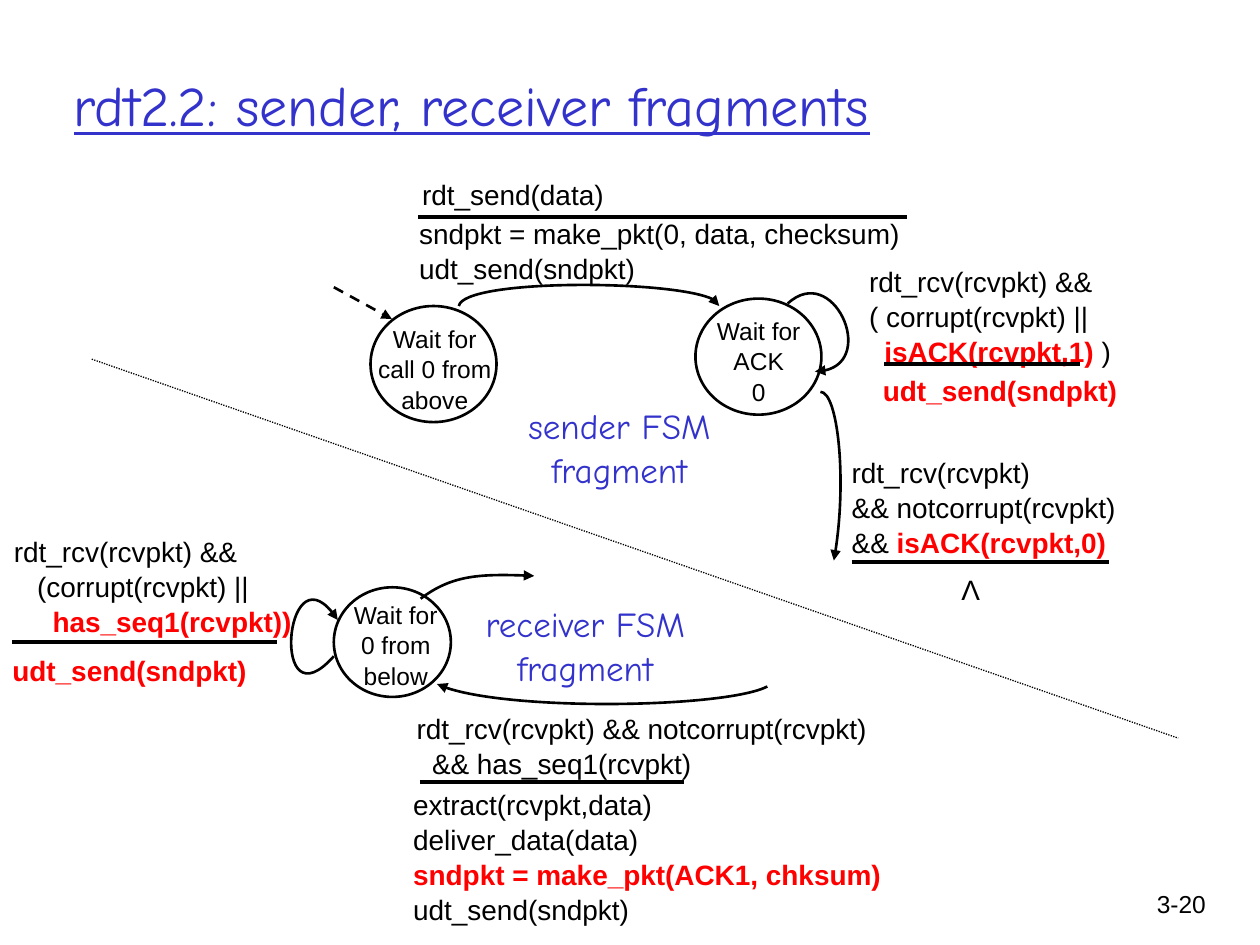
"""Build the slide with the rdt2.2 sender and receiver state machine fragments."""
from lxml.etree import SubElement
from pptx import Presentation
from pptx.dml.color import RGBColor
from pptx.enum.dml import MSO_LINE
from pptx.enum.shapes import MSO_CONNECTOR, MSO_SHAPE
from pptx.enum.text import MSO_ANCHOR, PP_ALIGN
from pptx.oxml.ns import qn
from pptx.util import Cm, Pt

COLORS = {"ink": "000000", "paper": "FFFFFF", "heading": "3333CC", "emphasis": "FF0000"}
BODY_FONT, HEADING_FONT = "Arial", "Comic Neue"


def color(name):
    """Return the named colour."""
    return RGBColor.from_string(COLORS[name])


def add_text(slide, box, lines, size=16, font=BODY_FONT, ink="ink", align=PP_ALIGN.LEFT,
             indents=(), wrap=True):
    """Add a text box; pieces between asterisks are bold and in the emphasis colour."""
    frame = slide.shapes.add_textbox(*map(Cm, box)).text_frame
    frame.word_wrap = wrap
    for index, line in enumerate(lines):
        paragraph = frame.paragraphs[0] if index == 0 else frame.add_paragraph()
        paragraph.alignment = align
        paragraph.line_spacing = 1.04
        paragraph.font.name = font
        paragraph.font.size = Pt(size)
        paragraph.font.color.rgb = color(ink)
        if index < len(indents):
            properties = paragraph._p.get_or_add_pPr()
            properties.set("marL", str(Cm(indents[index])))
            properties.set("indent", "0")
        for position, piece in enumerate(line.split("*")):
            if piece:
                run = paragraph.add_run()
                run.text = piece
                if position % 2:
                    run.font.bold = True
                    run.font.color.rgb = color("emphasis")
    return frame


def add_arrowhead(shape):
    """Put a triangle at the end of a line."""
    SubElement(shape.line._get_or_add_ln(), qn("a:tailEnd"), type="triangle")


def add_line(slide, start, end, width=2.25, dash=None, arrow=False):
    """Add a straight line without shadow."""
    line = slide.shapes.add_connector(MSO_CONNECTOR.STRAIGHT, *map(Cm, start + end))
    line.line.color.rgb = color("ink")
    line.line.width = Pt(width)
    if dash:
        line.line.dash_style = dash
    if arrow:
        add_arrowhead(line)
    SubElement(line._element.spPr, qn("a:effectLst"))


def add_curve(slide, start, *points):
    """Add a curved transition arrow from its start, two control points and end."""
    builder = slide.shapes.build_freeform(Cm(start[0]), Cm(start[1]))
    builder.add_line_segments([(Cm(x), Cm(y)) for x, y in points], close=False)
    curve = builder.convert_to_shape()
    segments = list(curve._element.iter(qn("a:lnTo")))
    bezier = SubElement(segments[0].getparent(), qn("a:cubicBezTo"))
    for segment in segments:
        bezier.append(segment[0])
        segment.getparent().remove(segment)
    curve.shadow.inherit = False
    curve.fill.background()
    curve.line.color.rgb = color("ink")
    curve.line.width = Pt(1.5)
    add_arrowhead(curve)


def add_state(slide, circle, label_box, lines):
    """Add a state circle with its label."""
    state = slide.shapes.add_shape(MSO_SHAPE.OVAL, *map(Cm, circle))
    state.shadow.inherit = False
    state.fill.solid()
    state.fill.fore_color.rgb = color("paper")
    state.line.color.rgb = color("ink")
    state.line.width = Pt(1.5)
    add_text(slide, label_box, lines, size=14, align=PP_ALIGN.CENTER)


def add_caption(slide, box, lines):
    """Add the centred name of a state machine."""
    add_text(slide, box, lines, 20, HEADING_FONT, "heading", PP_ALIGN.CENTER, wrap=False)


def add_sender(slide):
    """Add the sender states, transitions and labels."""
    add_state(slide, (7.47, 6.17, 2.54, 2.34), (7.29, 6.38, 2.95, 1.7),
              ["Wait for call 0 from above"])
    add_state(slide, (14.02, 6.02, 2.54, 2.34), (13.82, 6.22, 2.95, 1.7),
              ["Wait for ACK", "0"])
    add_line(slide, (6.73, 5.79), (7.9, 6.43), 1.5, MSO_LINE.DASH, arrow=True)
    add_curve(slide, (9.25, 6.17), (9.35, 5.61), (14.5, 5.64), (14.5, 6.17))
    add_curve(slide, (15.88, 6.12), (16.79, 5.28), (17.78, 7.47), (16.43, 7.49))
    add_curve(slide, (16.54, 7.9), (16.89, 7.9), (17.09, 9.78), (16.81, 11.3))

    add_text(slide, (8.26, 3.43, 4.8, 0.79), ["rdt_send(data)"])
    add_line(slide, (8.43, 4.37), (18.29, 4.37))
    add_text(slide, (8.2, 4.22, 10.34, 1.12),
             ["sndpkt = make_pkt(0, data, checksum)", "udt_send(sndpkt)"])

    add_text(slide, (17.27, 5.18, 7.54, 1.57),
             ["rdt_rcv(rcvpkt) &&", "( corrupt(rcvpkt) ||", "*isACK(rcvpkt,1)* )"],
             indents=(0, 0, 0.31))
    add_line(slide, (17.83, 7.34), (21.77, 7.34))
    add_text(slide, (17.55, 7.37, 5.89, 1.12), ["*udt_send(sndpkt)*"])

    add_text(slide, (16.92, 9.04, 6.71, 1.57),
             ["rdt_rcv(rcvpkt)", "&& notcorrupt(rcvpkt)", "&& *isACK(rcvpkt,0)*"])
    add_line(slide, (17.17, 11.33), (22.35, 11.33))
    add_text(slide, (19.05, 11.4, 1.04, 0.94), ["Λ"], align=PP_ALIGN.CENTER)
    add_caption(slide, (10.24, 8, 4.5, 1.96), ["sender FSM", "fragment"])


def add_receiver(slide):
    """Add the receiver state, transitions and labels."""
    add_state(slide, (6.73, 11.84, 2.36, 2.21), (6.86, 11.94, 2.24, 1.7),
              ["Wait for", "0 from below"])
    add_curve(slide, (8.48, 12.07), (9.09, 11.61), (9.7, 11.56), (10.77, 11.61))
    add_curve(slide, (15.47, 13.84), (14.63, 14.27), (9.98, 14.35), (8.81, 13.79))
    add_curve(slide, (6.73, 13.23), (5.46, 14.66), (5.74, 10.87), (6.81, 12.5))

    add_text(slide, (0.03, 10.62, 6.55, 1.78),
             ["rdt_rcv(rcvpkt) &&", "(corrupt(rcvpkt) ||", "*has_seq1(rcvpkt))*"],
             indents=(0, 0.47, 0.78))
    add_line(slide, (0.25, 12.95), (5.59, 12.95))
    add_text(slide, (0, 13.03, 5.66, 1.14), ["*udt_send(sndpkt)*"])

    add_text(slide, (8.15, 14.2, 10.95, 1.57),
             ["rdt_rcv(rcvpkt) && notcorrupt(rcvpkt)", "&& has_seq1(rcvpkt)"],
             indents=(0, 0.31))
    add_line(slide, (8.46, 15.77), (13.79, 15.77))
    add_text(slide, (8.08, 15.72, 11.61, 1.93),
             ["extract(rcvpkt,data)", "deliver_data(data)",
              "*sndpkt = make_pkt(ACK1, chksum)*", "udt_send(sndpkt)"])
    add_caption(slide, (9.3, 11.99, 5, 1.96), ["receiver FSM", "fragment"])


def main():
    """Build and save the presentation."""
    presentation = Presentation()
    presentation.slide_width = Cm(25.4)
    presentation.slide_height = Cm(19.05)
    slide = presentation.slides.add_slide(presentation.slide_layouts[6])
    title = add_text(slide, (1.24, 0.48, 21.59, 3.18),
                     ["rdt2.2: sender, receiver fragments"], 32, HEADING_FONT, "heading")
    title.vertical_anchor = MSO_ANCHOR.MIDDLE
    title.paragraphs[0].font.underline = True
    add_sender(slide)
    add_receiver(slide)
    add_line(slide, (1.85, 7.24), (23.75, 14.88), 0.75, MSO_LINE.ROUND_DOT)
    add_text(slide, (22.68, 17.78, 1.88, 1.27), ["3-20"], 14, align=PP_ALIGN.RIGHT)
    presentation.save("out.pptx")


if __name__ == "__main__":
    main()
